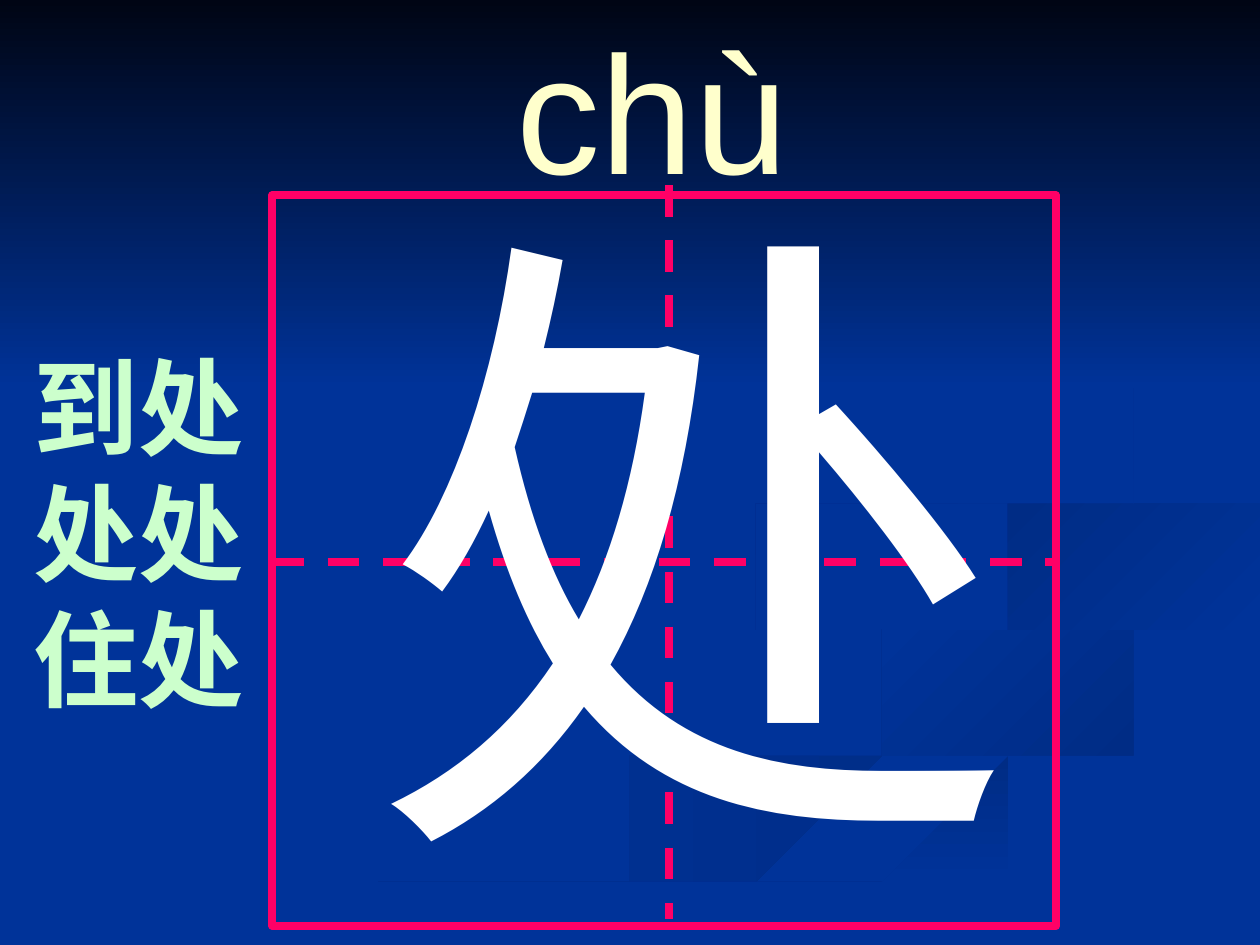
from lxml import etree
from pptx import Presentation
from pptx.dml.color import RGBColor
from pptx.enum.dml import MSO_LINE
from pptx.enum.shapes import MSO_CONNECTOR, MSO_SHAPE
from pptx.enum.text import MSO_ANCHOR, MSO_AUTO_SIZE, PP_ALIGN
from pptx.oxml.ns import qn
from pptx.util import Cm, Pt

COLORS = {
    "background": "003399",
    "night": "000514",
    "shade": "002C85",
    "grid": "FF0066",
    "character": "FFFFFF",
    "words": "CCFFCC",
    "pinyin": "FFFFCC",
}
STEPS = 6


def smooth(edge):
    """Return points on a Catmull-Rom curve through the points of an edge."""
    padded = [edge[0], *edge, edge[-1]]
    curve = []
    for a, b, c, d in zip(padded, padded[1:], padded[2:], padded[3:]):
        for step in range(STEPS):
            t = step / STEPS
            curve.append(tuple(
                q + t * (r - p) / 2 + t**2 * (2*p - 5*q + 4*r - s) / 2
                + t**3 * (3*q - p - 3*r + s) / 2
                for p, q, r, s in zip(a, b, c, d)))
    return curve + [edge[-1]]


def write(box, text, font_name, size, color):
    frame = box.text_frame
    frame.text = text
    frame.word_wrap = True
    frame.auto_size = MSO_AUTO_SIZE.SHAPE_TO_FIT_TEXT
    frame.vertical_anchor = MSO_ANCHOR.TOP
    paragraph = frame.paragraphs[0]
    paragraph.alignment = PP_ALIGN.LEFT
    font = paragraph.runs[0].font
    font.name, font.size = font_name, Pt(size)
    font.color.rgb = RGBColor.from_string(COLORS[color])
    return font


prs = Presentation()
prs.slide_width, prs.slide_height = Cm(25.4), Cm(19.05)
slide = prs.slides.add_slide(prs.slide_layouts[5])
shapes = slide.shapes
slide.background.fill.solid()
slide.background.fill.fore_color.rgb = RGBColor.from_string(COLORS["background"])

# Ribbons: start colour, end colour, gradient angle, curved edges (1 unit = 2.54 cm)
ribbons = [
    ("shade", "background", 180, [
        [(3, 7.49), (4.58, 6.74), (7.14, 6.05), (7.86, 5.66), (6.97, 5.25), (5.72, 4.76)],
        [(5.75, 4.59), (6.42, 5.07), (7.86, 5.56), (7.95, 5.92), (4.99, 6.87), (3.61, 7.49)]]),
    ("shade", "background", 135, [
        [(7.24, 4.64), (7.46, 5), (8.68, 5.44), (9.18, 5.81), (8.94, 6.05)],
        [(9.41, 5.81), (9.05, 5.4), (7.58, 4.98)]]),
    ("shade", "background", 270, [
        [(5.03, 7.49), (6.3, 6.93), (7.97, 6.38), (9.98, 5.81)],
        [(9.98, 6.09), (7.52, 6.72), (5.71, 7.49)]]),
    ("background", "background", 0, [
        [(9.99, 3.87), (8.3, 4.15), (7.25, 4.64), (8.12, 5.15), (9.43, 5.7), (7.43, 6.43),
         (4.77, 7.49)],
        [(5.03, 7.49), (6.96, 6.69), (9.99, 5.81)],
        [(9.99, 5.38), (8.32, 4.98), (7.82, 4.6), (8.5, 4.27), (9.99, 4.02)]]),
    ("background", "shade", 135, [
        [(9.98, 4.02), (8.35, 4.3), (7.81, 4.6), (8.26, 4.96)],
        [(8.05, 4.72), (8.59, 4.43), (9.98, 4.2)]]),
    ("background", "shade", 135, [
        [(7.62, 2.33), (8.64, 2.91), (8.94, 3.44), (8.25, 4.02), (6.49, 4.2), (5.77, 4.62),
         (6.22, 5)],
        [(5.93, 4.7), (6.83, 4.3), (8.42, 3.78), (8.89, 3.35), (8.46, 2.79)]]),
]
gradients = []
for start, end, angle, edges in ribbons:
    outline = [point for edge in edges for point in smooth(edge)]
    builder = shapes.build_freeform(*outline[0], scale=Cm(2.54))
    builder.add_line_segments(outline[1:], close=True)
    gradients.append((builder.convert_to_shape(), start, end, angle))

sky = shapes.add_shape(MSO_SHAPE.RECTANGLE, 0, 0, prs.slide_width, Cm(7.82))
gradients.append((sky, "night", "background", 270))

for backdrop, start, end, angle in gradients:
    backdrop.shadow.inherit = False
    backdrop.line.fill.background()
    backdrop.fill.gradient()
    backdrop.fill.gradient_angle = angle
    for stop, color in zip(backdrop.fill.gradient_stops, (start, end)):
        stop.color.rgb = RGBColor.from_string(COLORS[color])

# Practice square with dashed guides
square = shapes.add_shape(MSO_SHAPE.RECTANGLE, Cm(5.49), Cm(3.94), Cm(15.8), Cm(14.73))
square.shadow.inherit = False
square.fill.background()
guides = []
for x1, y1, x2, y2 in [(5.49, 11.33, 21.29, 11.33), (13.49, 3.73, 13.49, 18.52)]:
    guide = shapes.add_connector(MSO_CONNECTOR.STRAIGHT, Cm(x1), Cm(y1), Cm(x2), Cm(y2))
    guide.line.dash_style = MSO_LINE.DASH
    guides.append(guide)
for part in [square, *guides]:
    part.line.color.rgb = RGBColor.from_string(COLORS["grid"])
    part.line.width = Pt(4.5)
for guide in guides:
    etree.SubElement(guide._element.spPr, qn("a:effectLst"))

character = shapes.add_textbox(Cm(7.19), Cm(2.74), Cm(13.06), Cm(15.93))
write(character, "处", "Times New Roman", 370, "character")

words = shapes.add_textbox(Cm(0.43), Cm(6.78), Cm(5.21), Cm(7.87))
write(words, "到处处处住处", "Arial", 60, "words").bold = True

pinyin = shapes.title
pinyin.left, pinyin.top, pinyin.width, pinyin.height = Cm(10.16), Cm(0), Cm(6.91), Cm(4.32)
write(pinyin, "chù", "Arial", 96, "pinyin")
pinyin.text_frame.word_wrap = False
shapes._spTree.append(pinyin._element)  # bring the title in front of the sky

prs.save("out.pptx")
